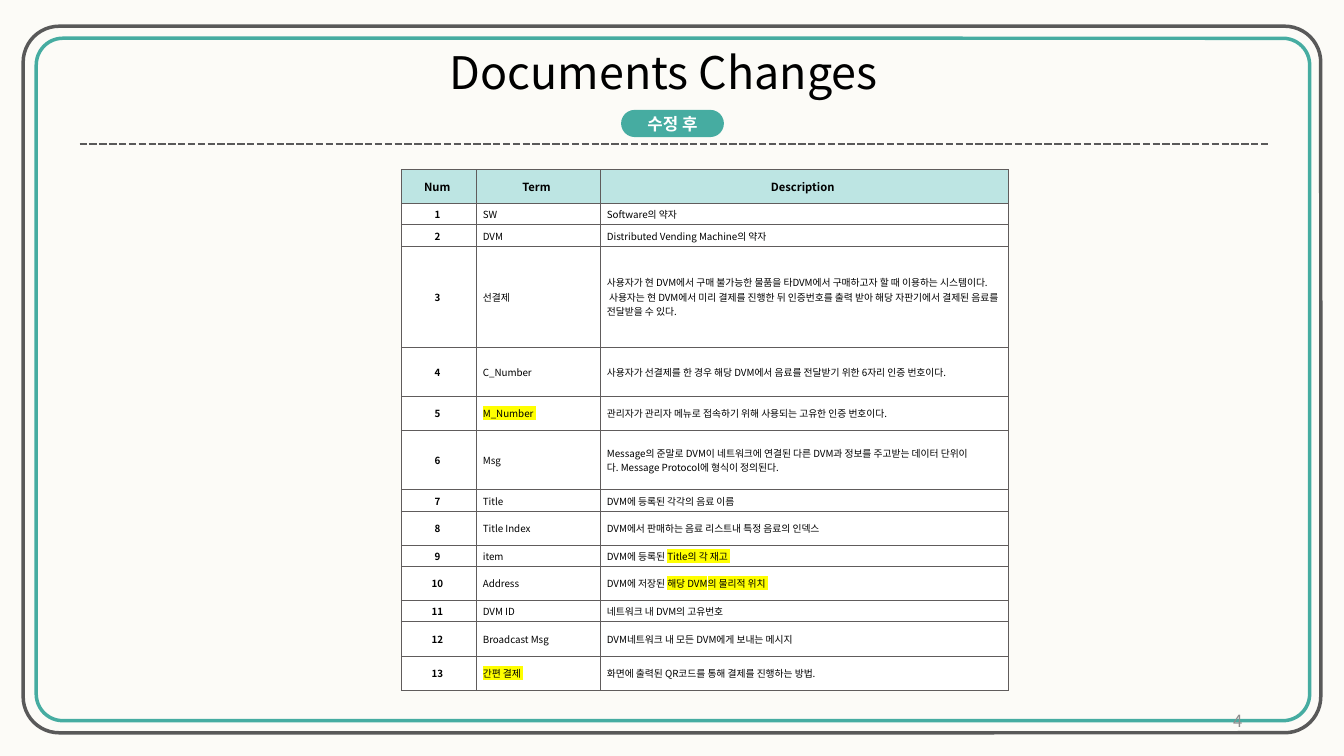
from dataclasses import dataclass

from lxml import etree
from pptx import Presentation
from pptx.dml.color import RGBColor
from pptx.enum.dml import MSO_LINE
from pptx.enum.shapes import MSO_CONNECTOR, MSO_SHAPE
from pptx.enum.text import MSO_ANCHOR, PP_ALIGN
from pptx.oxml.ns import qn
from pptx.util import Inches, Pt

ROUND_RECT = MSO_SHAPE.ROUNDED_RECTANGLE
STRAIGHT = MSO_CONNECTOR.STRAIGHT
DASH = MSO_LINE.SQUARE_DOT
TOP, MIDDLE = MSO_ANCHOR.TOP, MSO_ANCHOR.MIDDLE
LEFT, CENTER, RIGHT = PP_ALIGN.LEFT, PP_ALIGN.CENTER, PP_ALIGN.RIGHT
TITLE_ONLY = 5
NBSP = chr(160)


@dataclass(frozen=True)
class Theme:
    font: str = "Noto Sans CJK KR"
    paper: str = "FCFBF7"
    teal: str = "46ACA1"
    gray: str = "595959"
    border: str = "605C5C"
    header: str = "BDE5E3"
    mark: str = "FFFF00"
    page: str = "8C8C8C"
    black: str = "000000"
    white: str = "FFFFFF"
    title_pt: int = 32
    label_pt: int = 12
    head_pt: int = 8
    body_pt: int = 7


T = Theme()

COLS = (0.74, 1.23, 4.05)
HEADERS = ("Num", "Term", "Description")
HEADER_HEIGHT = 0.34
# Row height, term, description: "~" is a no-break space, text after "|" is highlighted
TERMS = (
    (0.21, "SW", "Software의 약자"),
    (0.21, "DVM", "Distributed Vending Machine의 약자"),
    (1.01, "선결제", "사용자가 현~DVM에서 구매 불가능한 물품을~타DVM에서 구매하고자 할 "
     "때~이용하는~시스템이다.~사용자는~현~DVM에서 미리 결제를 진행한 뒤~인증번호를~출력~받아 "
     "해당 자판기에서~결제된 음료를 전달받을 수 있다."),
    (0.48, "C_Number", "사용자가 선결제를 한 경우~해당~DVM에서 음료를 전달받기~위한~6자리~인증~번호이다.~"),
    (0.34, "|M_Number", "관리자가~관리자~메뉴로 접속하기~위해~사용되는~고유한 인증~번호이다."),
    (0.59, "Msg", "Message의 준말로~DVM이 네트워크에 연결된 다른~DVM과~정보를 주고받는 데이터 "
     "단위이다.~Message Protocol에 형식이 정의된다."),
    (0.21, "Title", "DVM에 등록된 각각의 음료 이름"),
    (0.34, "Title~Index", "DVM에서~판매하는~음료~리스트내 특정 음료의 인덱스"),
    (0.21, "item", "DVM에 등록된~|Title의~각 재고"),
    (0.34, "Address", "DVM에~저장된~|해당~DVM의~물리적~위치"),
    (0.21, "DVM~ID", "네트워크 내~DVM의 고유번호"),
    (0.34, "Broadcast Msg", "DVM네트워크 내 모든~DVM에게 보내는 메시지"),
    (0.34, "|간편 결제", "화면에 출력된~QR코드를~통해 결제를 진행하는 방법."),
)


def rgb(value):
    return RGBColor.from_string(value)


def set_attrs(obj, **values):
    for name, value in values.items():
        setattr(obj, name, value)


def add_run(p, text, size, color=T.black, bold=False, mark=None):
    r = p.add_run()
    r.text = text
    set_attrs(r.font, size=Pt(size), bold=bold, name=T.font)
    r.font.color.rgb = rgb(color)
    latin = r.font._element.find(qn("a:latin"))
    ea = etree.Element(qn("a:ea"), typeface=T.font)
    latin.addnext(ea)
    if mark:
        highlight = etree.Element(qn("a:highlight"))
        etree.SubElement(highlight, qn("a:srgbClr"), val=mark)
        latin.addprevious(highlight)


def write(tf, text, align, anchor, **style):
    set_attrs(tf, word_wrap=True, vertical_anchor=anchor)
    p = tf.paragraphs[0]
    p.alignment = align
    add_run(p, text, **style)


def add_round_rect(slide, box, radius):
    s = slide.shapes.add_shape(ROUND_RECT, *map(Inches, box))
    s.shadow.inherit = False
    s.adjustments[0] = radius
    return s


def add_frame(slide, box, radius, color):
    s = add_round_rect(slide, box, radius)
    s.fill.background()
    s.line.color.rgb = rgb(color)
    s.line.width = Pt(2.5)


def add_divider(slide, x, y, width):
    line = slide.shapes.add_connector(
        STRAIGHT, Inches(x), Inches(y), Inches(x + width), Inches(y))
    line.line.color.rgb = rgb(T.gray)
    set_attrs(line.line, width=Pt(1.75), dash_style=DASH)
    etree.SubElement(line._element.spPr, qn("a:effectLst"))


def add_title(slide, box, text):
    title = slide.shapes.title
    set_attrs(title, **dict(zip(("left", "top", "width", "height"), map(Inches, box))))
    write(title.text_frame, text, CENTER, TOP, size=T.title_pt)


def add_badge(slide, box, text):
    s = add_round_rect(slide, box, 0.5)
    s.fill.solid()
    s.fill.fore_color.rgb = rgb(T.teal)
    s.line.fill.background()
    set_attrs(s.text_frame, margin_top=0, margin_bottom=0)
    write(s.text_frame, text, CENTER, MIDDLE, size=T.label_pt, color=T.white, bold=True)


def add_page_number(slide, box, text):
    tb = slide.shapes.add_textbox(*map(Inches, box))
    write(tb.text_frame, text, RIGHT, MIDDLE, size=T.label_pt, color=T.page)


def add_borders(cell):
    tcPr = cell._tc.get_or_add_tcPr()
    for i, side in enumerate(("lnL", "lnR", "lnT", "lnB")):
        ln = etree.Element(qn("a:" + side), w=str(Pt(0.5)))
        fill = etree.SubElement(ln, qn("a:solidFill"))
        etree.SubElement(fill, qn("a:srgbClr"), val=T.border)
        tcPr.insert(i, ln)


def fill_cell(cell, text, fill, size, align, bold):
    set_attrs(cell, vertical_anchor=MIDDLE,
              margin_left=Inches(0.07), margin_right=Inches(0.07),
              margin_top=Inches(0.04), margin_bottom=Inches(0.04))
    cell.fill.solid()
    cell.fill.fore_color.rgb = rgb(fill)
    add_borders(cell)
    p = cell.text_frame.paragraphs[0]
    p.alignment = align
    plain, _, marked = (text + "~").replace("~", NBSP).partition("|")
    for part, mark in ((plain, None), (marked, T.mark)):
        if part:
            add_run(p, part, size, bold=bold, mark=mark)


def add_glossary(slide, x, y):
    heights = [HEADER_HEIGHT] + [height for height, _, _ in TERMS]
    rows = [HEADERS] + [(str(n), term, text) for n, (_, term, text) in enumerate(TERMS, 1)]
    table = slide.shapes.add_table(
        len(rows), len(COLS), Inches(x), Inches(y),
        Inches(sum(COLS)), Inches(sum(heights))).table
    set_attrs(table, first_row=False, horz_banding=False)
    for col, width in zip(table.columns, COLS):
        col.width = Inches(width)
    for i, (height, row) in enumerate(zip(heights, rows)):
        table.rows[i].height = Inches(height)
        for j, text in enumerate(row):
            strong = i == 0 or j == 0
            fill_cell(table.cell(i, j), text,
                      fill=T.white if i else T.header,
                      size=T.body_pt if i else T.head_pt,
                      align=CENTER if strong else LEFT, bold=strong)


def build_slide(prs):
    slide = prs.slides.add_slide(prs.slide_layouts[TITLE_ONLY])
    slide.background.fill.solid()
    slide.background.fill.fore_color.rgb = rgb(T.paper)
    # Double frame and divider
    add_frame(slide, (0.36, 0.38, 12.63, 6.77), 0.039, T.teal)
    add_frame(slide, (0.23, 0.26, 12.87, 7.01), 0.051, T.gray)
    add_divider(slide, 0.79, 1.43, 11.81)
    # Heading
    add_page_number(slide, (9.42, 6.95, 3, 0.4), "4")
    add_title(slide, (2.74, 0.39, 7.69, 0.64), "Documents Changes")
    add_badge(slide, (6.16, 1.09, 1.02, 0.27), "수정 후")
    # Glossary table
    add_glossary(slide, 3.98, 1.68)


def main():
    prs = Presentation()
    set_attrs(prs, slide_width=Inches(13.33), slide_height=Inches(7.5))
    build_slide(prs)
    prs.save("out.pptx")


if __name__ == "__main__":
    main()
